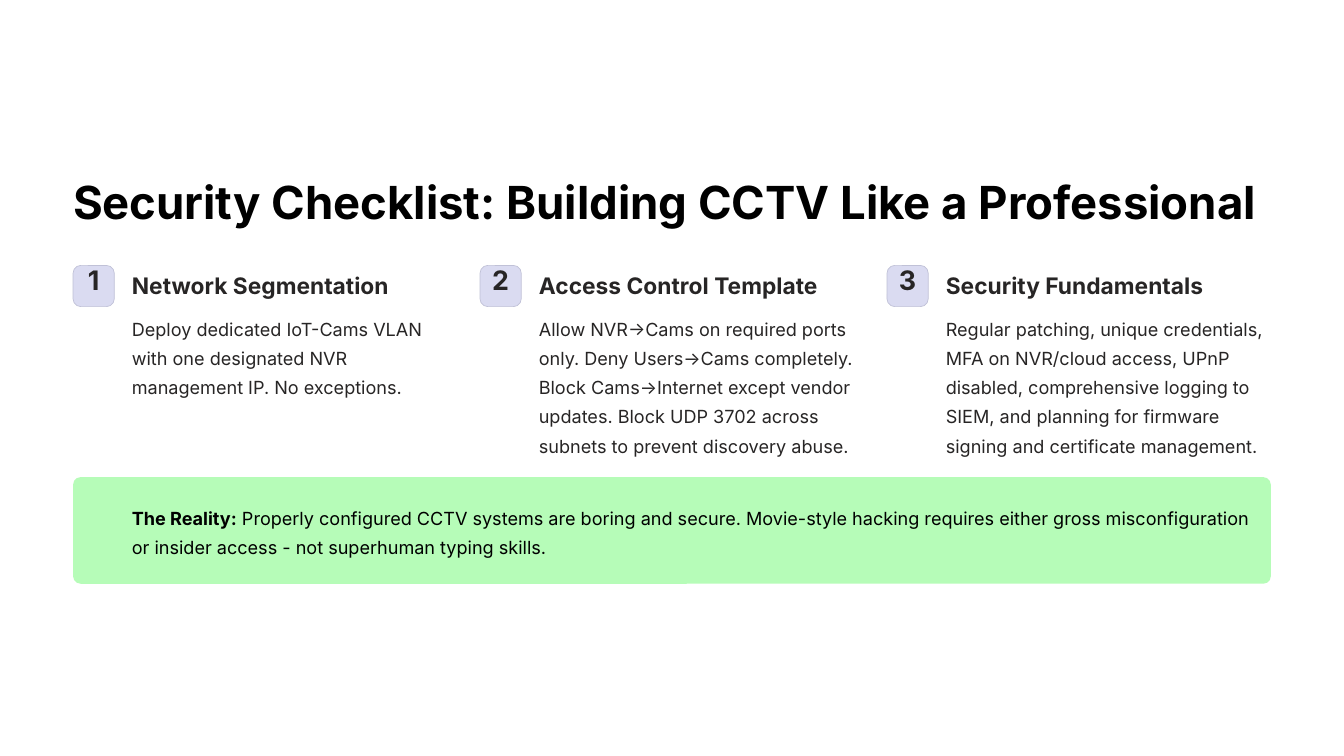
from pptx import Presentation
from pptx.dml.color import RGBColor
from pptx.enum.shapes import MSO_SHAPE as Shape
from pptx.enum.text import MSO_ANCHOR as Anchor, MSO_AUTO_SIZE as AutoSize, PP_ALIGN as Align
from pptx.util import Inches, Pt

COLUMNS, ROWS = 160, 90
LEFT, TEXT_INDENT, PITCH = 8.7, 7, 48.45
STEPS = [
    ("Network Segmentation",
     "Deploy dedicated IoT-Cams VLAN with one designated NVR management IP. No exceptions."),
    ("Access Control Template",
     "Allow NVR→Cams on required ports only. Deny Users→Cams completely. "
     "Block Cams→Internet except vendor updates. Block UDP 3702 across subnets "
     "to prevent discovery abuse."),
    ("Security Fundamentals",
     "Regular patching, unique credentials, MFA on NVR/cloud access, UPnP disabled, "
     "comprehensive logging to SIEM, and planning for firmware signing and "
     "certificate management."),
]


def color(value):
    return RGBColor.from_string(value)


class ChecklistPage:
    font = "Inter"
    ink, black = "272525", "000000"
    badge_fill, badge_line, callout_fill = "DADBF1", "C0C1D7", "B6FCB8"

    def __init__(self, deck):
        self.deck = deck
        self.page = deck.slides.add_slide(deck.slide_layouts[5])
        background = self.page.background.fill
        background.solid()
        background.fore_color.rgb = color("FFFFFF")

    def across(self, columns):
        return round(self.deck.slide_width * columns / COLUMNS)

    def down(self, rows):
        return round(self.deck.slide_height * rows / ROWS)

    def area(self, left, top, width, height):
        return self.across(left), self.down(top), self.across(width), self.down(height)

    def set_text(self, box, spans, size, leading, ink, bold=None, align=Align.LEFT,
                 wrap=True, margins=(0, 0, 0)):
        frame = box.text_frame
        frame.auto_size = AutoSize.NONE
        frame.word_wrap = wrap
        frame.vertical_anchor = Anchor.TOP
        left, top, right = margins
        frame.margin_left, frame.margin_right = self.across(left), self.across(right)
        frame.margin_top, frame.margin_bottom = self.down(top), 0
        para = frame.paragraphs[0]
        para.alignment = align
        para.line_spacing = Pt(leading)
        for text, strong in spans:
            span = para.add_run()
            span.text = text
            if strong:
                span.font.bold = True
        font = para.font
        font.name, font.size, font.bold = self.font, Pt(size), bold
        font.color.rgb = color(ink)

    def title(self, text, *place):
        box = self.page.shapes.title
        box.left, box.top, box.width, box.height = self.area(*place)
        self.set_text(box, [(text, False)], 39, 48.5, self.black, True, wrap=False)

    def text(self, text, place, size, leading, bold=False, wrap=True):
        box = self.page.shapes.add_textbox(*self.area(*place))
        self.set_text(box, [(text, False)], size, leading, self.ink, bold, wrap=wrap)

    def panel(self, place, fill, corner, line=None):
        box = self.page.shapes.add_shape(Shape.ROUNDED_RECTANGLE, *self.area(*place))
        box.adjustments[0] = corner
        box.shadow.inherit = False
        box.fill.solid()
        box.fill.fore_color.rgb = color(fill)
        if line:
            box.line.color.rgb = color(line)
            box.line.width = Pt(0.6)
        else:
            box.line.fill.background()
        return box

    def step(self, number, heading, body):
        left = LEFT + (number - 1) * PITCH
        badge = self.panel((left, 31.6, 4.9, 4.9), self.badge_fill, 0.187, self.badge_line)
        self.set_text(badge, [(str(number), False)], 23, 23, self.ink, True,
                      Align.CENTER, margins=(0, 0.13, 0))
        left += TEXT_INDENT
        self.text(heading, (left, 32.3, 33.2, 3.4), 19.5, 24, bold=True, wrap=False)
        self.text(body, (left, 37, 38.7, 17.4), 15.5, 25)

    def callout(self, lead, text, *place):
        box = self.panel(place, self.callout_fill, 0.072)
        self.set_text(box, [(lead, True), (text, False)], 15.5, 25, self.black,
                      margins=(TEXT_INDENT - 0.27, 2.43, 1.9))


def main():
    deck = Presentation()
    deck.slide_width, deck.slide_height = Inches(16), Inches(9)
    checklist = ChecklistPage(deck)
    checklist.title("Security Checklist: Building CCTV Like a Professional",
                    LEFT, 20.5, 141.2, 6.8)
    for number, (heading, body) in enumerate(STEPS, 1):
        checklist.step(number, heading, body)
    checklist.callout(
        "The Reality:",
        " Properly configured CCTV systems are boring and secure. Movie-style hacking "
        "requires either gross misconfiguration or insider access - not superhuman typing skills.",
        LEFT, 56.8, 142.6, 12.7)
    deck.save("out.pptx")


if __name__ == "__main__":
    main()
